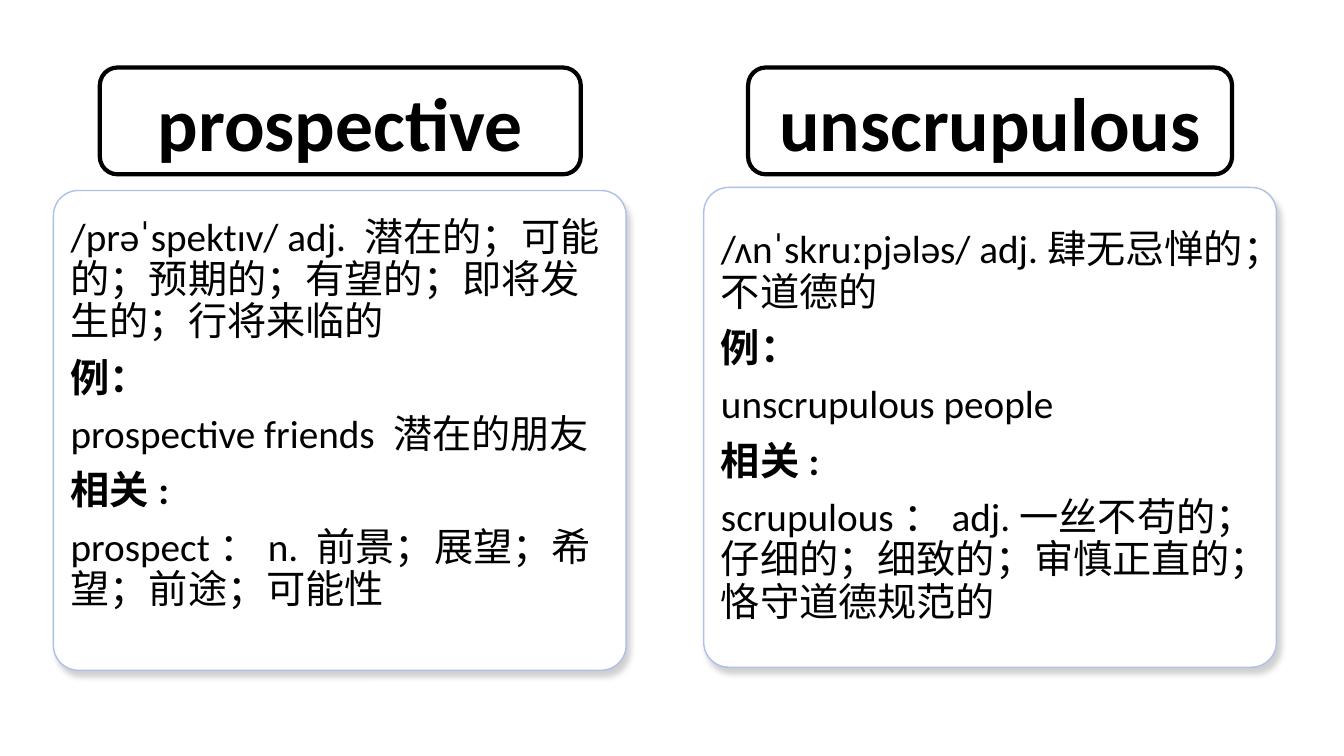
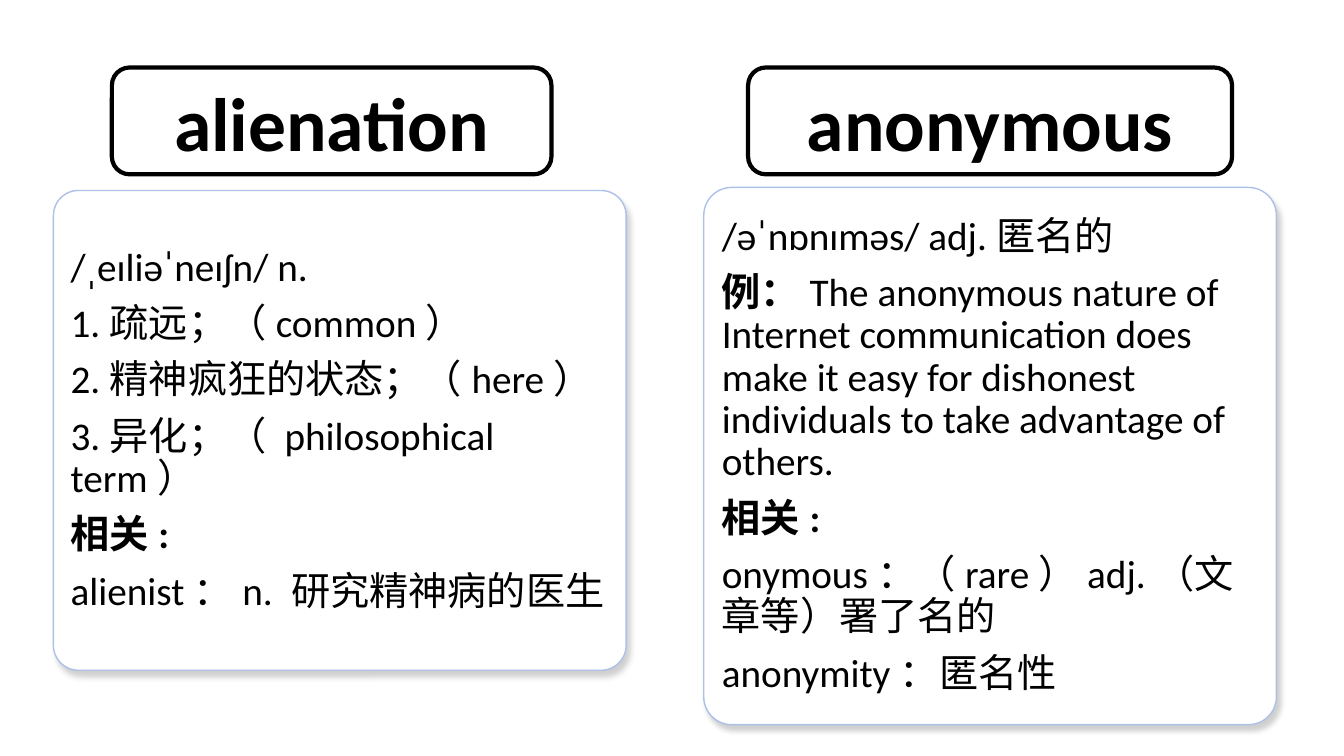
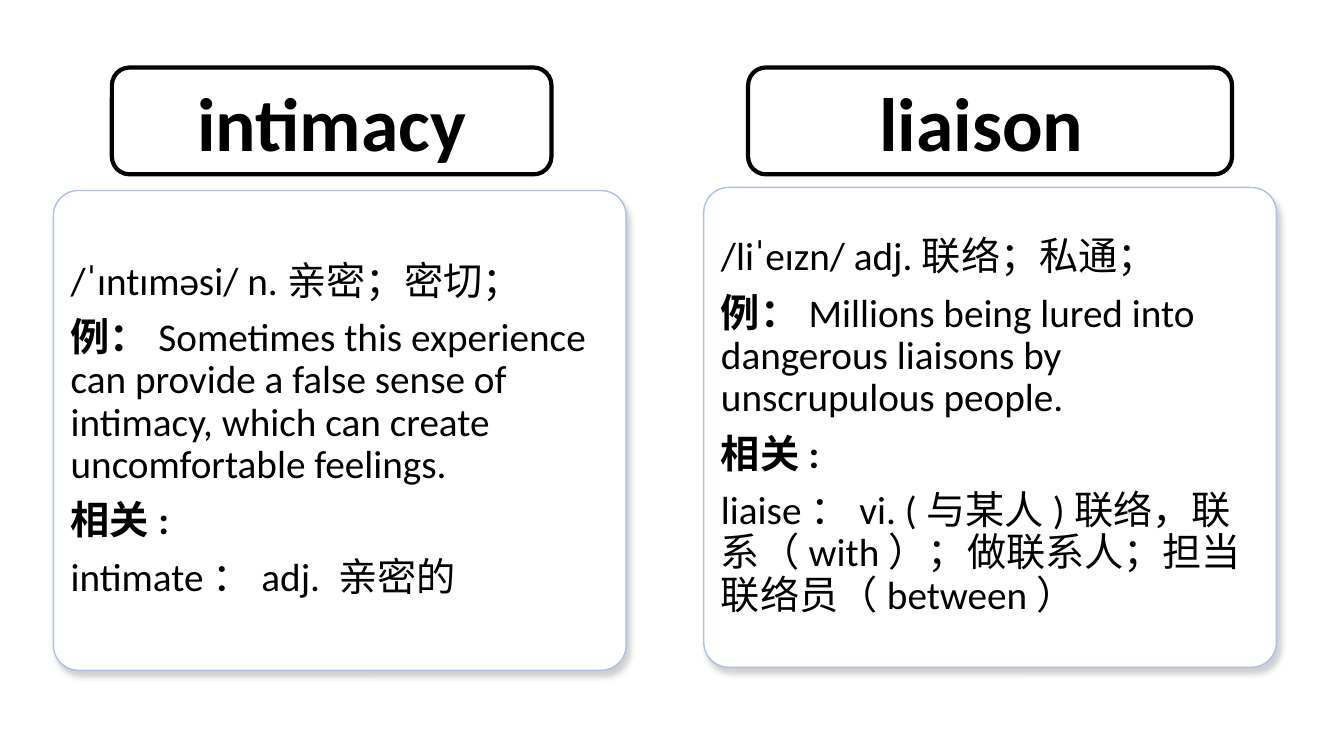
import dataclasses

import lxml.etree
import pptx
import pptx.dml.color
import pptx.enum.shapes
import pptx.enum.text
import pptx.oxml.ns
import pptx.util

Inches = pptx.util.Inches
Pt = pptx.util.Pt
RGBColor = pptx.dml.color.RGBColor

BLACK = RGBColor(0x00, 0x00, 0x00)
WHITE = RGBColor(0xFF, 0xFF, 0xFF)
EDGE = RGBColor(0xAD, 0xC0, 0xE8)
FONT = "Calibri"
LEFT = pptx.enum.text.PP_ALIGN.LEFT
CENTER = pptx.enum.text.PP_ALIGN.CENTER

HEAD_TOP, HEAD_HIGH = 0.67, 1.06
CARD_WIDE, CARD_HIGH = 5.68, 4.76
CARD_ROUND = 0.052


@dataclasses.dataclass(frozen=True)
class Bit:
    text: str
    bold: bool = False


@dataclasses.dataclass(frozen=True)
class Side:
    head_left: float
    head_wide: float
    card_left: float
    card_top: float


@dataclasses.dataclass(frozen=True)
class Entry:
    word: str
    side: Side
    lines: tuple[tuple[Bit, ...], ...]
    high: float = CARD_HIGH
    foot: float = 0.05


WIDE_SIDE = Side(0.99, 4.77, 0.53, 1.89)
LEFT_SIDE = dataclasses.replace(WIDE_SIDE, head_left=1.11, head_wide=4.36)
RIGHT_SIDE = Side(7.42, 4.8, 6.98, 1.86)

SAMPLE = Bit("例：", True)
RELATED = (Bit("相关:", True),)


def plain(text: str) -> tuple[Bit, ...]:
    return (Bit(text),)


def sample(text: str) -> tuple[Bit, ...]:
    return (SAMPLE, Bit(text))


SLIDES = (
    (
        Entry("prospective", WIDE_SIDE, (
            plain("/prəˈspektɪv/ adj. 潜在的；可能的；预期的；有望的；即将发生的；行将来临的"),
            (SAMPLE,),
            plain("prospective friends 潜在的朋友"),
            RELATED,
            plain("prospect：n. 前景；展望；希望；前途；可能性"),
        ), foot=0.36),
        Entry("unscrupulous", RIGHT_SIDE, (
            plain("/ʌnˈskruːpjələs/ adj.肆无忌惮的；不道德的"),
            (SAMPLE,),
            plain("unscrupulous people"),
            RELATED,
            plain("scrupulous：adj.一丝不苟的；仔细的；细致的；审慎正直的；恪守道德规范的"),
        )),
    ),
    (
        Entry("alienation", LEFT_SIDE, (
            plain("/ˌeɪliəˈneɪʃn/ n."),
            plain("1.疏远；（common）"),
            plain("2.精神疯狂的状态；（here）"),
            plain("3.异化；（ philosophical term）"),
            RELATED,
            plain("alienist：n. 研究精神病的医生"),
        )),
        Entry("anonymous", RIGHT_SIDE, (
            plain("/əˈnɒnɪməs/ adj.匿名的"),
            sample("The anonymous nature of Internet communication does make it "
                   "easy for dishonest individuals to take advantage of others."),
            RELATED,
            plain("onymous：（rare）adj.（文章等）署了名的"),
            plain("anonymity：匿名性"),
        ), high=5.33),
    ),
    (
        Entry("intimacy", LEFT_SIDE, (
            plain("/ˈɪntɪməsi/ n.亲密；密切；"),
            sample("Sometimes this experience can provide a false sense of "
                   "intimacy, which can create uncomfortable feelings."),
            RELATED,
            plain("intimate：adj. 亲密的"),
        )),
        Entry("liaison ", RIGHT_SIDE, (
            plain("/liˈeɪzn/ adj.联络；私通；"),
            sample("Millions being lured into dangerous liaisons by unscrupulous people."),
            RELATED,
            plain("liaise：vi. (与某人)联络，联系（with）；做联系人；担当联络员（between）"),
        )),
    ),
)


def add_box(slide, left: float, top: float, wide: float, high: float,
            edge: RGBColor, weight: float):
    box = slide.shapes.add_shape(
        pptx.enum.shapes.MSO_SHAPE.ROUNDED_RECTANGLE,
        Inches(left), Inches(top), Inches(wide), Inches(high))
    box.shadow.inherit = False
    box.line.color.rgb = edge
    box.line.width = Pt(weight)
    box.text_frame.word_wrap = True
    box.text_frame.vertical_anchor = pptx.enum.text.MSO_ANCHOR.MIDDLE
    return box


def add_bits(para, bits: tuple[Bit, ...], size: float, align) -> None:
    para.alignment = align
    for bit in bits:
        run = para.add_run()
        run.text = bit.text
        run.font.name = FONT
        run.font.size = Pt(size)
        run.font.bold = bit.bold
        run.font.color.rgb = BLACK


def add_shade(box) -> None:
    qn = pptx.oxml.ns.qn
    effects = box._element.spPr.find(qn("a:effectLst"))
    shade = lxml.etree.SubElement(
        effects, qn("a:outerShdw"), blurRad=str(Pt(4)), dist=str(Pt(5)),
        dir=str(60 * 60000), algn="ctr", rotWithShape="0")
    tint = lxml.etree.SubElement(shade, qn("a:srgbClr"), val=str(BLACK))
    lxml.etree.SubElement(tint, qn("a:alpha"), val="18000")


def add_head(slide, entry: Entry) -> None:
    side = entry.side
    box = add_box(slide, side.head_left, HEAD_TOP, side.head_wide, HEAD_HIGH, BLACK, 3)
    box.fill.background()
    add_bits(box.text_frame.paragraphs[0], (Bit(entry.word, True),), 54, CENTER)


def add_card(slide, entry: Entry) -> None:
    side = entry.side
    box = add_box(slide, side.card_left, side.card_top, CARD_WIDE, entry.high, EDGE, 1)
    box.adjustments[0] = CARD_ROUND
    box.fill.solid()
    box.fill.fore_color.rgb = WHITE
    add_shade(box)
    frame = box.text_frame
    frame.margin_bottom = Inches(entry.foot)
    for index, bits in enumerate(entry.lines):
        para = frame.add_paragraph() if index else frame.paragraphs[0]
        para.line_spacing = 0.9
        para.space_before = Pt(10 if index else 0)
        add_bits(para, bits, 28, LEFT)


def main() -> None:
    deck = pptx.Presentation()
    deck.slide_width = Inches(13.33)
    deck.slide_height = Inches(7.5)
    for entries in SLIDES:
        slide = deck.slides.add_slide(deck.slide_layouts[6])
        for entry in entries:
            add_card(slide, entry)
            add_head(slide, entry)
    deck.save("out.pptx")


if __name__ == "__main__":
    main()
